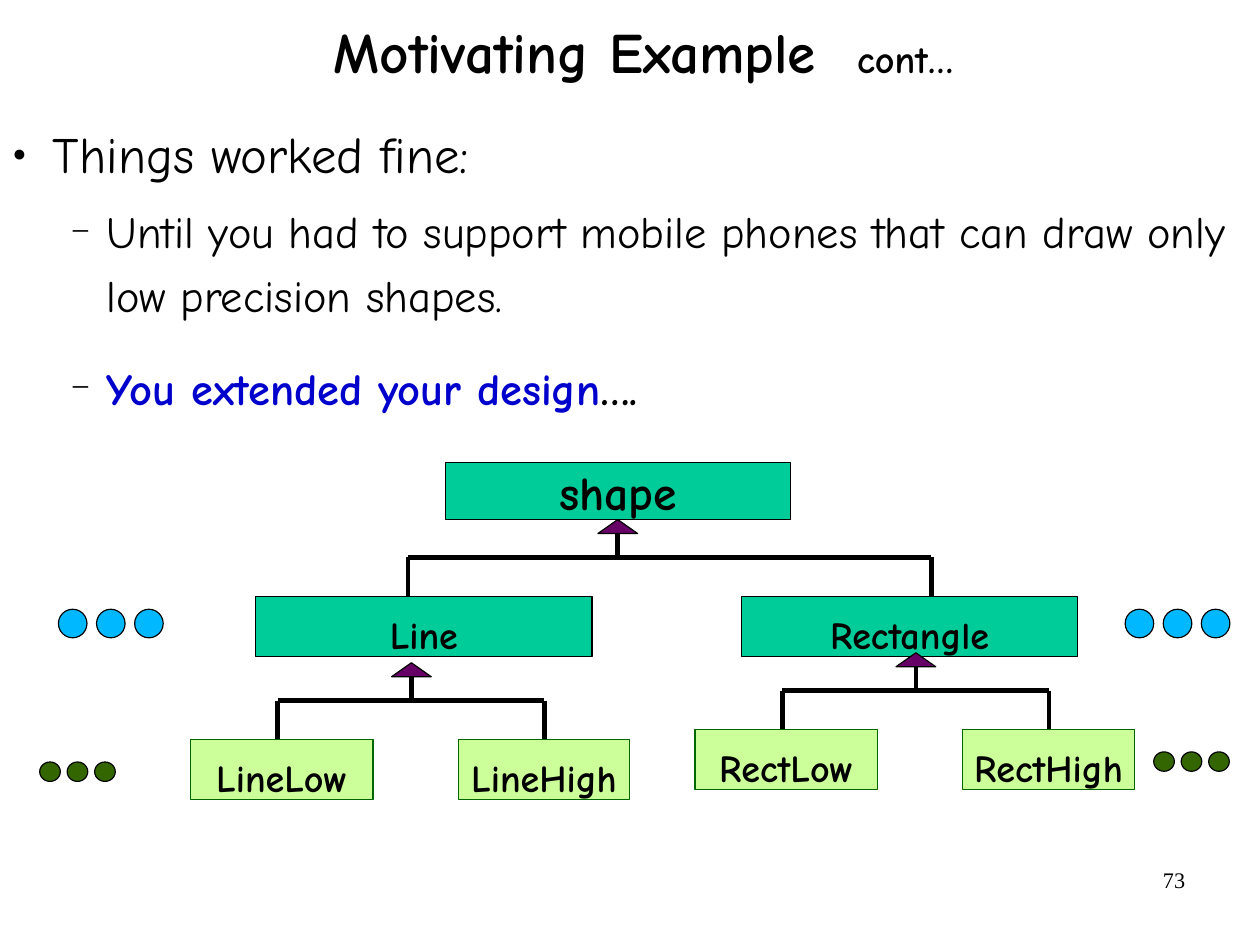
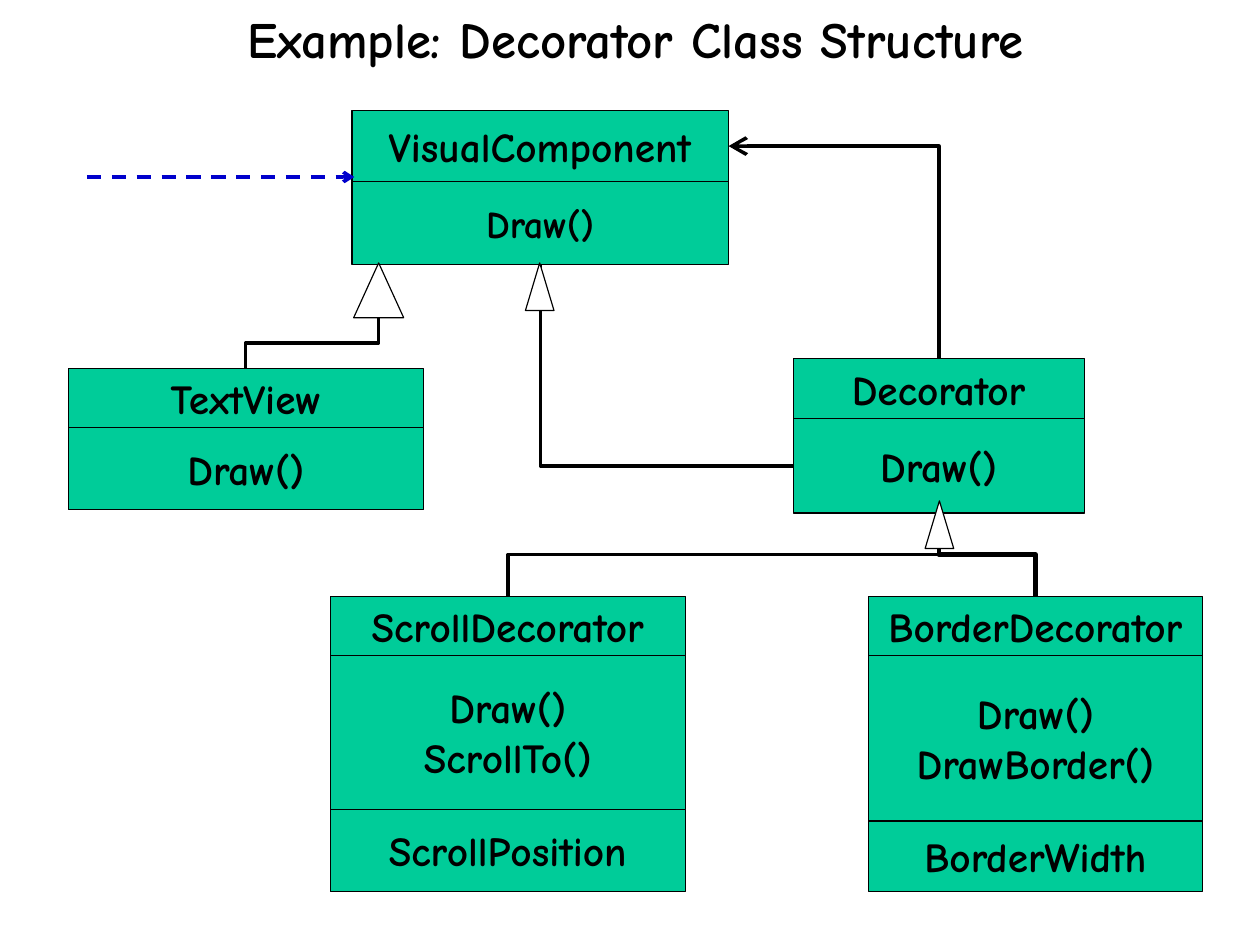
from pptx import Presentation
from pptx import util as u
from pptx.dml.color import RGBColor
from pptx.enum import dml, shapes, text
from pptx.oxml import ns
from lxml import etree

FONT, SERIF = "Comic Neue", "Times New Roman"
BLACK, WHITE, BLUE = "000000", "FFFFFF", "0000CC"
TEAL, LIME, FOREST = "00CC99", "CCFF99", "006600"
PURPLE, SKY, OLIVE = "660066", "00B8FF", "336600"
SHAPE, CONN = shapes.MSO_SHAPE, shapes.MSO_CONNECTOR
CENTER = text.PP_ALIGN.CENTER


def rgb(value):
    """Turn a hex string into a colour."""
    return RGBColor.from_string(value)


def pts(*values):
    """Turn numbers of points into lengths."""
    return [u.Pt(v) for v in values]


def add_run(p, words, size, bold=False, color=BLACK, font=FONT):
    """Add one formatted run to a paragraph."""
    r = p.add_run()
    r.text = words
    r.font.name, r.font.size, r.font.bold = font, u.Pt(size), bold
    r.font.color.rgb = rgb(color)
    return r


def set_frame(tf, margins=(0, 0, 0, 0), anchor=text.MSO_ANCHOR.MIDDLE, wrap=True):
    """Set the margins, anchor and wrapping of a text frame."""
    tf.margin_left, tf.margin_top, tf.margin_right, tf.margin_bottom = pts(*margins)
    tf.vertical_anchor, tf.word_wrap = anchor, wrap
    tf.auto_size = text.MSO_AUTO_SIZE.NONE


def add_title(s, x, y, w, h):
    """Place the title and return its paragraph."""
    sp = s.shapes.title
    sp.left, sp.top, sp.width, sp.height = pts(x, y, w, h)
    set_frame(sp.text_frame)
    p = sp.text_frame.paragraphs[0]
    p.alignment, p.line_spacing = CENTER, 0.88
    return p


def add_shape(s, kind, x, y, w, h, fill, line=BLACK):
    """Draw a filled, outlined preset shape."""
    sp = s.shapes.add_shape(kind, *pts(x, y, w, h))
    sp.shadow.inherit = False
    sp.fill.solid()
    sp.fill.fore_color.rgb = rgb(fill)
    sp.line.color.rgb, sp.line.width = rgb(line), u.Pt(0.75)
    return sp


def add_box(s, x, y, w, h, lines, size=26, fill=TEAL, line=BLACK, drop=0):
    """Draw a rectangle with centred bold lines, lowered by a top margin."""
    sp = add_shape(s, SHAPE.RECTANGLE, x, y, w, h, fill, line)
    tf = sp.text_frame
    set_frame(tf, (0, drop, 0, 0), wrap=False)
    for i, words in enumerate(lines):
        p = tf.add_paragraph() if i else tf.paragraphs[0]
        p.alignment = CENTER
        add_run(p, words, size, True)


def add_line(s, x1, y1, x2, y2, width=3, color=BLACK, kind=CONN.STRAIGHT):
    """Draw a connector without a shadow."""
    c = s.shapes.add_connector(kind, *pts(x1, y1, x2, y2))
    c.line.color.rgb, c.line.width = rgb(color), u.Pt(width)
    etree.SubElement(c._element.spPr, ns.qn("a:effectLst"))
    return c


def set_arrow(c, end, kind="arrow", size="med"):
    """Put an arrowhead on headEnd or tailEnd of a connector."""
    ln = c._element.spPr.find(ns.qn("a:ln"))
    etree.SubElement(ln, ns.qn("a:" + end), type=kind, w=size, len=size)


def set_preset(c, preset):
    """Choose the preset geometry of a connector."""
    c._element.spPr.find(ns.qn("a:prstGeom")).set("prst", preset)


def add_drop(s, x1, y1, x2, y2, preset="bentConnector3", width=2.25):
    """Draw an elbow that leaves its upper end vertically."""
    cx, cy = (x1 + x2) / 2, (y1 + y2) / 2
    w, h = y2 - y1, abs(x2 - x1)
    c = add_line(s, cx - w / 2, cy - h / 2, cx + w / 2, cy + h / 2, width, kind=CONN.ELBOW)
    set_preset(c, preset)
    xfrm = c._element.spPr.find(ns.qn("a:xfrm"))
    xfrm.set("rot", str((90 if x2 < x1 else 270) * 60000))
    if x2 > x1:
        xfrm.set("flipH", "1")
    return c


def add_fork(s, x, y, left, right):
    """Draw an inheritance arrow at x, y that joins two children."""
    base, bar, child = y + 8.8, y + 23.8, y + 48.2
    add_shape(s, SHAPE.ISOSCELES_TRIANGLE, x - 12.5, y, 25, 8.8, PURPLE)
    for ends in ((x, base, x, bar), (left, bar, right, bar),
                 (left, bar, left, child), (right, bar, right, child)):
        add_line(s, *ends)


def add_dots(s, x, y, w, h, pitch, fill):
    """Draw three dots in a row."""
    for i in range(3):
        add_shape(s, SHAPE.OVAL, x + i * pitch, y, w, h, fill)


def add_bullet(p, char, percent, left, hang):
    """Give a paragraph a black bullet and a hanging indent."""
    pPr = p._p.get_or_add_pPr()
    pPr.set("marL", str(u.Pt(left)))
    pPr.set("indent", str(-u.Pt(hang)))
    color = etree.SubElement(pPr, ns.qn("a:buClr"))
    etree.SubElement(color, ns.qn("a:srgbClr"), val=BLACK)
    etree.SubElement(pPr, ns.qn("a:buSzPct"), val=str(percent * 1000))
    etree.SubElement(pPr, ns.qn("a:buFont"), typeface=SERIF)
    etree.SubElement(pPr, ns.qn("a:buChar"), char=char)


def add_body(s, x, y, w, h):
    """Write the bulleted text."""
    tf = s.shapes.add_textbox(*pts(x, y, w, h)).text_frame
    set_frame(tf, anchor=text.MSO_ANCHOR.TOP)
    p = tf.paragraphs[0]
    p.line_spacing = 1.2
    add_bullet(p, "●", 45, 33.25, 25.25)
    add_run(p, "Things worked fine:", 32)
    until = "Until you had to support mobile phones that can draw only low precision shapes."
    extended = [("You extended your design", True, BLUE), ("….", True, BLACK)]
    for runs in ([(until, False, BLACK)], extended):
        p = tf.add_paragraph()
        p.level, p.line_spacing = 1, 1.2
        p.space_before, p.space_after = pts(6, 12)
        add_bullet(p, "−", 75, 67, 22.25)
        for words, bold, color in runs:
            add_run(p, words, 28, bold, color)


def add_page_number(s, number):
    """Write the page number at the lower right."""
    tf = s.shapes.add_textbox(*pts(568.8, 542, 185, 41)).text_frame
    set_frame(tf, (7.2, 3.6, 7.2, 3.6), text.MSO_ANCHOR.TOP)
    p = tf.paragraphs[0]
    p.alignment = text.PP_ALIGN.RIGHT
    add_run(p, number, 14, font=SERIF)


def add_class(s, x, y, w, *sections):
    """Stack the sections of a class, each with height, size and lines."""
    for h, size, *lines in sections:
        add_box(s, x, y, w, h, lines, size)
        y += h


def build_motivation(s):
    """Build the slide with the shape hierarchy."""
    p = add_title(s, 67, -14.4, 676.8, 98.6)
    add_run(p, "Motivating Example", 36, True)
    gap = add_run(p, " ", 36, True)
    gap.font._element.set("spc", "1300")
    add_run(p, "cont…", 24, True)
    add_body(s, 0, 69.8, 774.75, 455.75)
    add_page_number(s, "73")

    add_box(s, 280.6, 291.5, 217.5, 36, ["shape"], 30)
    for x, name in ((161, "Line"), (467, "Rectangle")):
        add_box(s, x, 375.5, 212, 38, [name], 24, drop=10.5)
    add_fork(s, 389.2, 327.3, 257, 586.7)
    for x, y, name in ((120, 465.7, "Line"), (437.8, 459.4, "Rect")):
        for dx, w, grade in ((0, 115, "Low"), (168.75, 108, "High")):
            add_box(s, x + dx, y, w, 38, [name + grade], 24, LIME, FOREST, 10)
        add_fork(s, x + 139.2, y - 48.2, x + 55, x + 223)
    for x in (36.8, 708.8):
        add_dots(s, x, 383.75, 18, 18, 24, SKY)
    for x, y in ((25, 480), (726.8, 473.6)):
        add_dots(s, x, y, 13, 12.25, 17.3, OLIVE)


def build_decorator(s):
    """Build the slide with the decorator class diagram."""
    add_run(add_title(s, 62, 0, 676.8, 53.25), "Example: Decorator Class Structure", 32, True)
    add_class(s, 221.75, 69.75, 237, (44.5, 26, "VisualComponent"), (52.25, 24, "Draw()"))
    add_class(s, 43, 232.2, 224, (37, 26, "TextView"), (52, 26, "Draw()"))
    add_class(s, 499.75, 226, 183.3, (37.5, 26, "Decorator"), (59.7, 26, "Draw()"))
    add_class(s, 208, 375.5, 224, (37.2, 26, "ScrollDecorator"),
              (97, 26, "Draw()", "ScrollTo()"), (52, 26, "ScrollPosition"))
    add_class(s, 547.4, 375.5, 210, (37.2, 26, "BorderDecorator"),
              (104.5, 26, "Draw()", "DrawBorder()"), (44.5, 26, "BorderWidth"))

    add_drop(s, 238.5, 200, 154.75, 232.2)
    add_drop(s, 340.5, 166.5, 499.75, 293.5, "bentConnector2")
    for x, width in ((320, 2.25), (652.25, 3)):
        c = add_drop(s, 591.5, 323.2, x, 375.5, width=width)
        set_arrow(c, "headEnd", "triangle")
    c = add_line(s, 459, 92, 591.5, 226, 2.25, kind=CONN.ELBOW)
    set_preset(c, "bentConnector2")
    set_arrow(c, "headEnd", size="lg")
    for x, y, w, h in ((331, 165.6, 18, 30), (222.8, 165.6, 31.5, 34.5),
                       (582.8, 315.5, 18, 30)):
        add_shape(s, SHAPE.ISOSCELES_TRIANGLE, x, y, w, h, WHITE)
    c = add_line(s, 54.75, 111.5, 223.25, 111.5, 2.25, BLUE)
    c.line.dash_style = dml.MSO_LINE.DASH
    set_arrow(c, "tailEnd")


def main():
    """Build and save the presentation."""
    prs = Presentation()
    prs.slide_width, prs.slide_height = pts(793.75, 595.25)
    for build in (build_motivation, build_decorator):
        build(prs.slides.add_slide(prs.slide_layouts[5]))
    prs.save("out.pptx")


if __name__ == "__main__":
    main()
